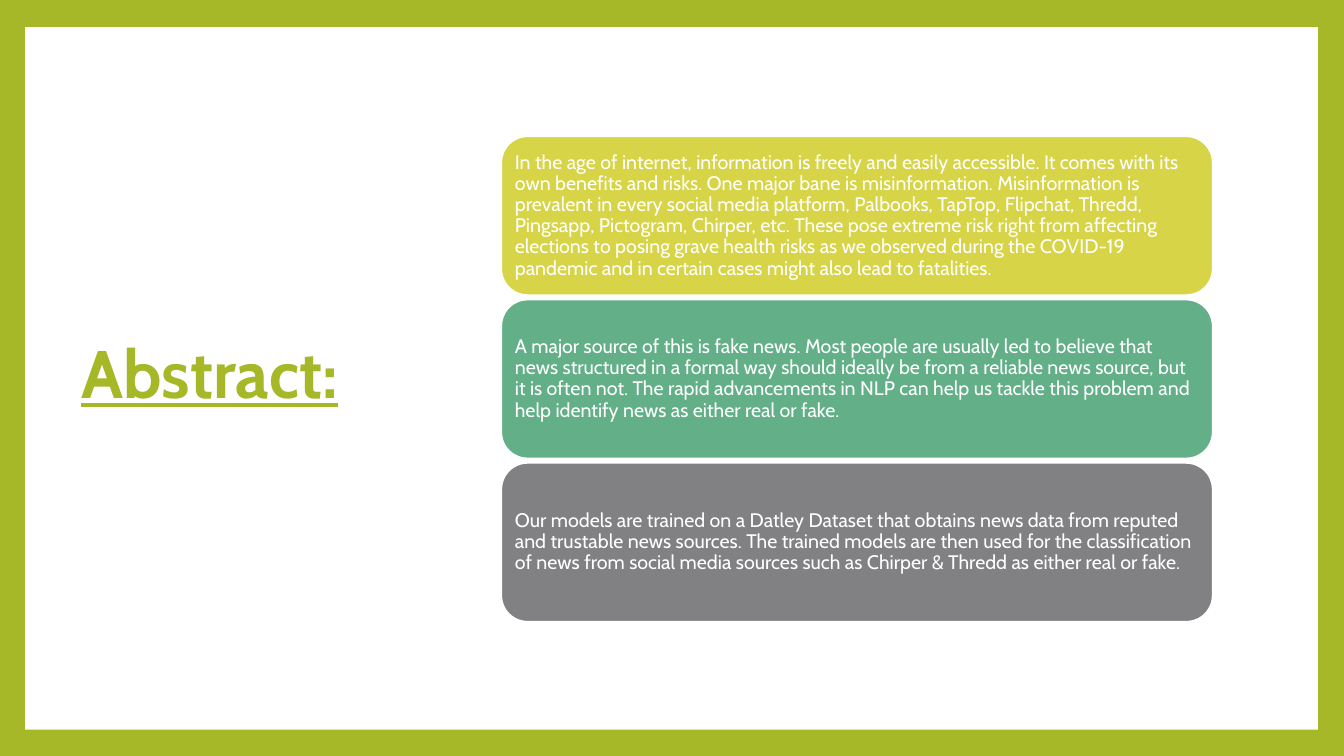
from pptx import Presentation
from pptx.dml.color import RGBColor
from pptx.enum.shapes import MSO_SHAPE as Shape
from pptx.enum.text import MSO_ANCHOR as Anchor, PP_ALIGN as Align
from pptx.util import Inches, Pt

GREEN, WHITE = "A6B727", "FFFFFF"
TITLE = "Abstract:"
CARDS = [
    ("D7D447", "In the age of internet, information is freely and easily accessible. "
     "It comes with its own benefits and risks. One major bane is misinformation. "
     "Misinformation is prevalent in every social media platform, Palbooks, TapTop, "
     "Flipchat, Thredd, Pingsapp, Pictogram, Chirper, etc. These pose extreme risk right "
     "from affecting elections to posing grave health risks as we observed during the "
     "COVID-19 pandemic and in certain cases might also lead to fatalities."),
    ("62AF88", "A major source of this is fake news. Most people are usually led to "
     "believe that news structured in a formal way should ideally be from a reliable "
     "news source, but it is often not. The rapid advancements in NLP can help us tackle "
     "this problem and help identify news as either real or fake."),
    ("818183", "Our models are trained on a Datley Dataset that obtains news data from "
     "reputed and trustable news sources. The trained models are then used for the "
     "classification of news from social media sources such as Chirper & Thredd as "
     "either real or fake."),
]
CARD_LEFT, CARD_TOP, CARD_WIDTH, CARD_HEIGHT, CARD_STEP = 4.97, 1.35, 7.06, 1.58, 1.62
TITLE_FORMAT = {"size": Pt(48), "bold": True, "underline": True}
CARD_FORMAT = {"size": Pt(14)}


def color(value):
    return RGBColor.from_string(value)


def add_panel(page, kind, box, fill):
    panel = page.shapes.add_shape(kind, *map(Inches, box))
    panel.shadow.inherit = False
    panel.fill.solid()
    panel.fill.fore_color.rgb = color(fill)
    panel.line.fill.background()
    return panel


def write(shape, text, ink, span_format, after, inset_x, inset_y):
    frame = shape.text_frame
    frame.word_wrap = True
    frame.vertical_anchor = Anchor.MIDDLE
    frame.margin_left = frame.margin_right = Inches(inset_x)
    frame.margin_top = frame.margin_bottom = Inches(inset_y)
    para = frame.paragraphs[0]
    para.alignment = Align.LEFT
    para.line_spacing = 0.9
    para.space_after = Pt(after)
    span = para.add_run()
    span.text = text
    span.font.color.rgb = color(ink)
    for name, value in {"name": "Cabin", **span_format}.items():
        setattr(span.font, name, value)


def main():
    deck = Presentation()
    deck.slide_width, deck.slide_height = Inches(13.33), Inches(7.5)
    page = deck.slides.add_slide(deck.slide_layouts[6])
    page.background.fill.solid()
    page.background.fill.fore_color.rgb = color(GREEN)
    add_panel(page, Shape.RECTANGLE, (0.25, 0.27, 12.82, 6.97), WHITE)

    title = page.shapes.add_textbox(*map(Inches, (0.71, 0.67, 3.68, 6.13)))
    write(title, TITLE, GREEN, TITLE_FORMAT, 6, 0.1, 0.05)

    for index, (fill, text) in enumerate(CARDS):
        box = (CARD_LEFT, CARD_TOP + index * CARD_STEP, CARD_WIDTH, CARD_HEIGHT)
        card = add_panel(page, Shape.ROUNDED_RECTANGLE, box, fill)
        card.line.color.rgb = color(WHITE)
        card.line.width = Pt(1.5)
        write(card, text, WHITE, CARD_FORMAT, 5, 0.06, 0.06)

    deck.save("out.pptx")


if __name__ == "__main__":
    main()
